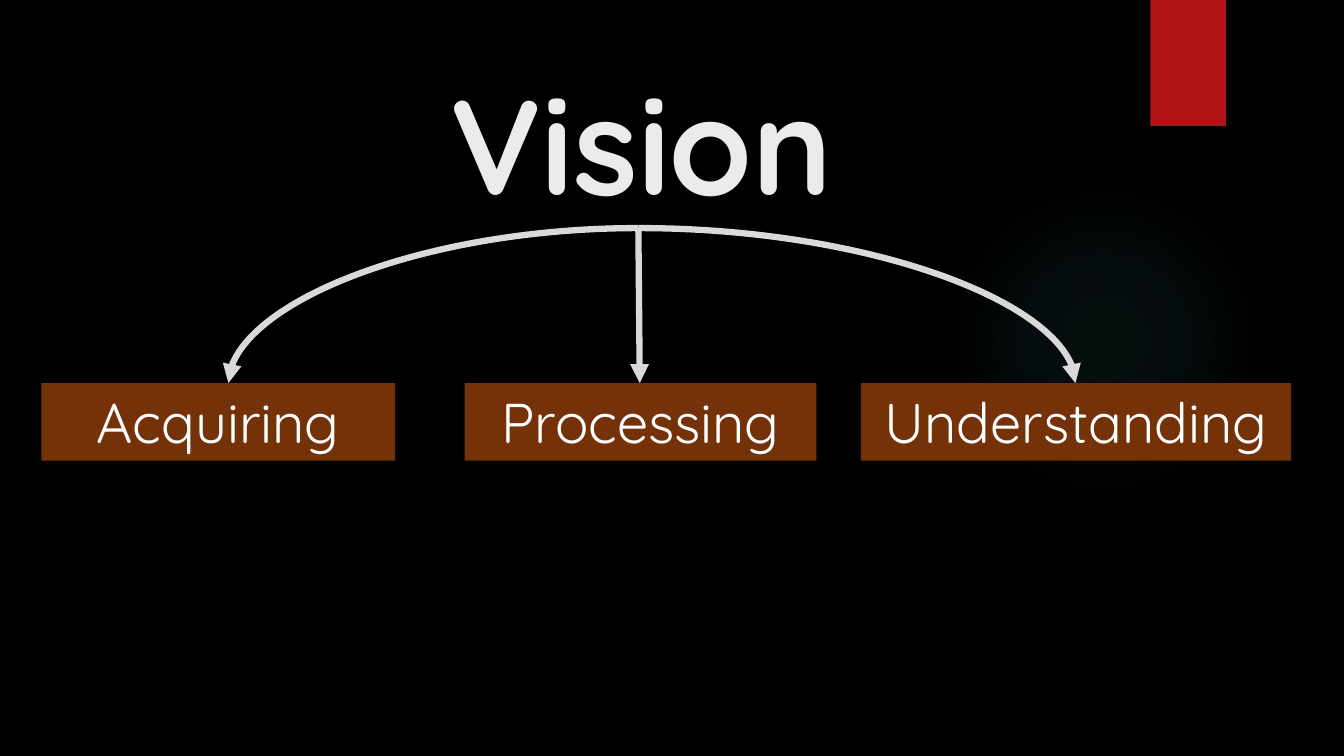
from dataclasses import dataclass

from lxml.etree import SubElement
from pptx import Presentation
from pptx.dml.color import RGBColor
from pptx.enum.shapes import MSO_CONNECTOR, MSO_SHAPE
from pptx.enum.text import MSO_ANCHOR, MSO_AUTO_SIZE, PP_ALIGN
from pptx.oxml.ns import qn
from pptx.shapes.autoshape import Shape
from pptx.slide import Slide
from pptx.text.text import TextFrame
from pptx.util import Pt


@dataclass(frozen=True)
class Theme:
    font: str = "Quicksand"
    back: str = "000000"
    glow: str = "50B9C1"
    tab: str = "B01513"
    box: str = "753209"
    line: str = "D9D9D9"
    head: str = "EBEBEB"
    text: str = "FFFFFF"
    head_size: float = 96
    text_size: float = 40
    line_width: float = 4.5


@dataclass(frozen=True)
class Box:
    left: float
    top: float
    width: float
    height: float


@dataclass(frozen=True)
class Step:
    name: str
    left: float
    width: float
    tip: float
    curved: bool = True


THEME = Theme()
HUB = (456, 162.9)
STEP_TOP = 273.6
STEP_HEIGHT = 55.4
STEPS = [
    Step("Acquiring", 29.5, 252.7, 163.2),
    Step("Processing", 331.9, 251.3, 457, curved=False),
    Step("Understanding", 614.9, 307.4, 768.2),
]


def add_block(slide: Slide, kind: MSO_SHAPE, box: Box, fill: str) -> Shape:
    shape = slide.shapes.add_shape(
        kind, Pt(box.left), Pt(box.top), Pt(box.width), Pt(box.height))
    shape.shadow.inherit = False
    shape.line.fill.background()
    shape.fill.solid()
    shape.fill.fore_color.rgb = RGBColor.from_string(fill)
    return shape


def set_text(frame: TextFrame, text: str, size: float, color: str,
             bold: bool = False) -> None:
    frame.text = text
    frame.word_wrap = True
    frame.vertical_anchor = MSO_ANCHOR.TOP
    para = frame.paragraphs[0]
    para.alignment = PP_ALIGN.CENTER
    font = para.runs[0].font
    font.name, font.size, font.bold = THEME.font, Pt(size), bold
    font.color.rgb = RGBColor.from_string(color)


def add_glow(slide: Slide) -> None:
    """Draw a faint disc that fades out from its centre."""
    disc = add_block(slide, MSO_SHAPE.OVAL,
                     Box(677.5, 131.8, 221.8, 221.8), THEME.glow)
    props = disc.element.spPr
    solid = props.find(qn("a:solidFill"))
    grad = SubElement(props, qn("a:gradFill"), rotWithShape="1")
    props.replace(solid, grad)
    stops = SubElement(grad, qn("a:gsLst"))
    for place, alpha in ((0, 7), (36, 6), (69, 0)):
        stop = SubElement(stops, qn("a:gs"), pos=str(place * 1000))
        color = SubElement(stop, qn("a:srgbClr"), val=THEME.glow)
        SubElement(color, qn("a:alpha"), val=str(alpha * 1000))
    round_fill = SubElement(grad, qn("a:path"), path="circle")
    SubElement(round_fill, qn("a:fillToRect"),
               dict.fromkeys("ltrb", "50000"))


def add_title(slide: Slide) -> None:
    title = slide.shapes.title
    title.left, title.top = Pt(87.8), Pt(40.3)
    title.width, title.height = Pt(740.9), Pt(110.2)
    set_text(title.text_frame, "Vision", THEME.head_size, THEME.head, True)
    title.text_frame.auto_size = MSO_AUTO_SIZE.NONE


def add_step(slide: Slide, step: Step) -> None:
    shape = add_block(slide, MSO_SHAPE.RECTANGLE,
                      Box(step.left, STEP_TOP, step.width, STEP_HEIGHT),
                      THEME.box)
    set_text(shape.text_frame, step.name, THEME.text_size, THEME.text)
    shape.text_frame.auto_size = MSO_AUTO_SIZE.SHAPE_TO_FIT_TEXT


def add_arrow(slide: Slide, step: Step) -> None:
    kind = MSO_CONNECTOR.CURVE if step.curved else MSO_CONNECTOR.STRAIGHT
    arrow = slide.shapes.add_connector(
        kind, Pt(HUB[0]), Pt(HUB[1]), Pt(step.tip), Pt(STEP_TOP))
    arrow.line.width = Pt(THEME.line_width)
    arrow.line.color.rgb = RGBColor.from_string(THEME.line)
    props = arrow.element.spPr
    if step.curved:
        props.find(qn("a:prstGeom")).set("prst", "curvedConnector2")
    SubElement(props.find(qn("a:ln")), qn("a:tailEnd"), type="triangle")
    SubElement(props, qn("a:effectLst"))


def main() -> None:
    deck = Presentation()
    deck.slide_width, deck.slide_height = Pt(960), Pt(540)
    slide = deck.slides.add_slide(deck.slide_layouts[5])
    back = slide.background.fill
    back.solid()
    back.fore_color.rgb = RGBColor.from_string(THEME.back)
    add_glow(slide)
    add_block(slide, MSO_SHAPE.RECTANGLE, Box(821.8, 0, 54, 90), THEME.tab)
    add_title(slide)
    for step in STEPS:
        add_step(slide, step)
    for step in STEPS:
        add_arrow(slide, step)
    deck.save("out.pptx")


if __name__ == "__main__":
    main()
